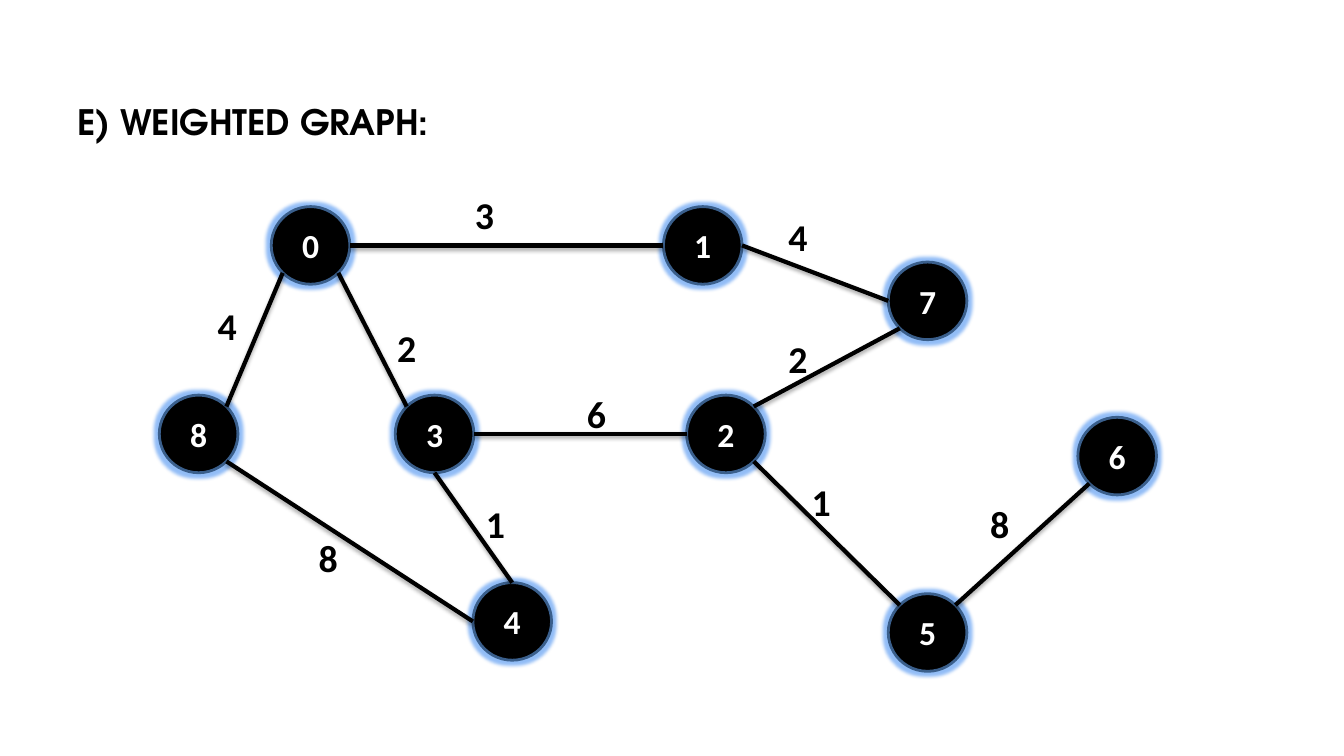
"""Build a slide showing a weighted graph with nine nodes."""
import math

import lxml.etree
import pptx
import pptx.dml.color
import pptx.enum.shapes
import pptx.enum.text
import pptx.oxml
import pptx.oxml.ns
import pptx.util

Inches = pptx.util.Inches
BLACK = pptx.dml.color.RGBColor(0x00, 0x00, 0x00)
WHITE = pptx.dml.color.RGBColor(0xFF, 0xFF, 0xFF)
NODE_LINE = pptx.dml.color.RGBColor(0x3A, 0x5F, 0x8C)
GLOW = pptx.dml.color.RGBColor(0x6F, 0xA8, 0xF5)

NODE_WIDTH, NODE_HEIGHT = 0.78, 0.77
NODES = {
    "8": (1.58, 3.92), "3": (3.92, 3.92), "2": (6.81, 3.92),
    "7": (8.81, 2.6), "1": (6.58, 2.05), "0": (2.69, 2.05),
    "4": (4.69, 5.78), "5": (8.81, 5.89), "6": (10.69, 4.14),
}
SITES = ["top", "top left", "left", "bottom left",
         "bottom", "bottom right", "right", "top right"]
EDGES = [
    ("8", "top right", "0", "bottom left", "4", 2.03, 2.93),
    ("8", "bottom right", "4", "left", "8", 3.03, 5.23),
    ("3", "bottom", "4", "top", "1", 4.69, 4.9),
    ("3", "right", "2", "left", "6", 5.69, 3.81),
    ("0", "bottom right", "3", "top left", "2", 3.81, 3.15),
    ("0", "right", "1", "left", "3", 4.58, 1.83),
    ("1", "right", "7", "left", "4", 7.69, 2.05),
    ("2", "top right", "7", "bottom left", "2", 7.69, 3.26),
    ("2", "bottom right", "5", "top left", "1", 7.92, 4.68),
    ("6", "bottom left", "5", "top right", "8", 9.69, 4.9),
]
NAMESPACE = pptx.oxml.ns.nsdecls("a")
GLOW_XML = (f'<a:effectLst {NAMESPACE}><a:glow rad="63500"><a:srgbClr val="{GLOW}">'
            '<a:alpha val="75000"/></a:srgbClr></a:glow></a:effectLst>')
SHADOW_XML = (f'<a:effectLst {NAMESPACE}><a:outerShdw blurRad="39370" dist="22860" '
              f'dir="5400000" rotWithShape="0"><a:srgbClr val="{BLACK}">'
              '<a:alpha val="35000"/></a:srgbClr></a:outerShdw></a:effectLst>')


def write_text(shape, text, size, color, font_name="Calibri"):
    paragraph = shape.text_frame.paragraphs[0]
    run = paragraph.add_run()
    run.text = text
    run.font.name = font_name
    run.font.size = pptx.util.Pt(size)
    run.font.bold = True
    run.font.color.rgb = color
    return paragraph


def site_point(node, site):
    left, top = NODES[node]
    angle = math.radians(90 + 45 * SITES.index(site))
    return (Inches(left + NODE_WIDTH / 2 * (1 + math.cos(angle))),
            Inches(top + NODE_HEIGHT / 2 * (1 - math.sin(angle))))


presentation = pptx.Presentation()
presentation.slide_width = Inches(13.33)
presentation.slide_height = Inches(7.5)
slide = presentation.slides.add_slide(presentation.slide_layouts[5])

title = slide.shapes.title
title.left, title.top = Inches(0.67), Inches(0.95)
title.width, title.height = Inches(12), Inches(5.75)
title.text_frame.vertical_anchor = pptx.enum.text.MSO_ANCHOR.TOP
heading = write_text(title, "E) WEIGHTED GRAPH:", 25, BLACK, "TeX Gyre Adventor")
heading.alignment = pptx.enum.text.PP_ALIGN.LEFT

node_shapes = {}
for name, (left, top) in NODES.items():
    node = slide.shapes.add_shape(
        pptx.enum.shapes.MSO_SHAPE.OVAL,
        Inches(left), Inches(top), Inches(NODE_WIDTH), Inches(NODE_HEIGHT))
    node.shadow.inherit = False
    effects = node._element.spPr.find(pptx.oxml.ns.qn("a:effectLst"))
    effects.getparent().replace(effects, pptx.oxml.parse_xml(GLOW_XML))
    node.fill.solid()
    node.fill.fore_color.rgb = BLACK
    node.line.color.rgb = NODE_LINE
    node.line.width = pptx.util.Pt(2)
    frame = node.text_frame
    frame.margin_left = frame.margin_right = Inches(0.13)
    frame.margin_top = frame.margin_bottom = Inches(0.07)
    frame.vertical_anchor = pptx.enum.text.MSO_ANCHOR.MIDDLE
    write_text(node, name, 24, WHITE).alignment = pptx.enum.text.PP_ALIGN.CENTER
    node_shapes[name] = node

for start, start_site, end, end_site, weight, left, top in EDGES:
    begin, finish = site_point(start, start_site), site_point(end, end_site)
    edge = slide.shapes.add_connector(
        pptx.enum.shapes.MSO_CONNECTOR.STRAIGHT, *begin, *finish)
    edge.line.color.rgb = BLACK
    edge.line.width = pptx.util.Pt(3)
    edge._element.spPr.append(pptx.oxml.parse_xml(SHADOW_XML))

    label = slide.shapes.add_textbox(
        Inches(left), Inches(top), Inches(0.46), Inches(0.59))
    frame = label.text_frame
    frame.word_wrap = True
    frame.auto_size = pptx.enum.text.MSO_AUTO_SIZE.SHAPE_TO_FIT_TEXT
    frame.margin_left = frame.margin_right = Inches(0.13)
    frame.margin_top = frame.margin_bottom = Inches(0.07)
    write_text(label, weight, 27, BLACK)

presentation.save("out.pptx")
